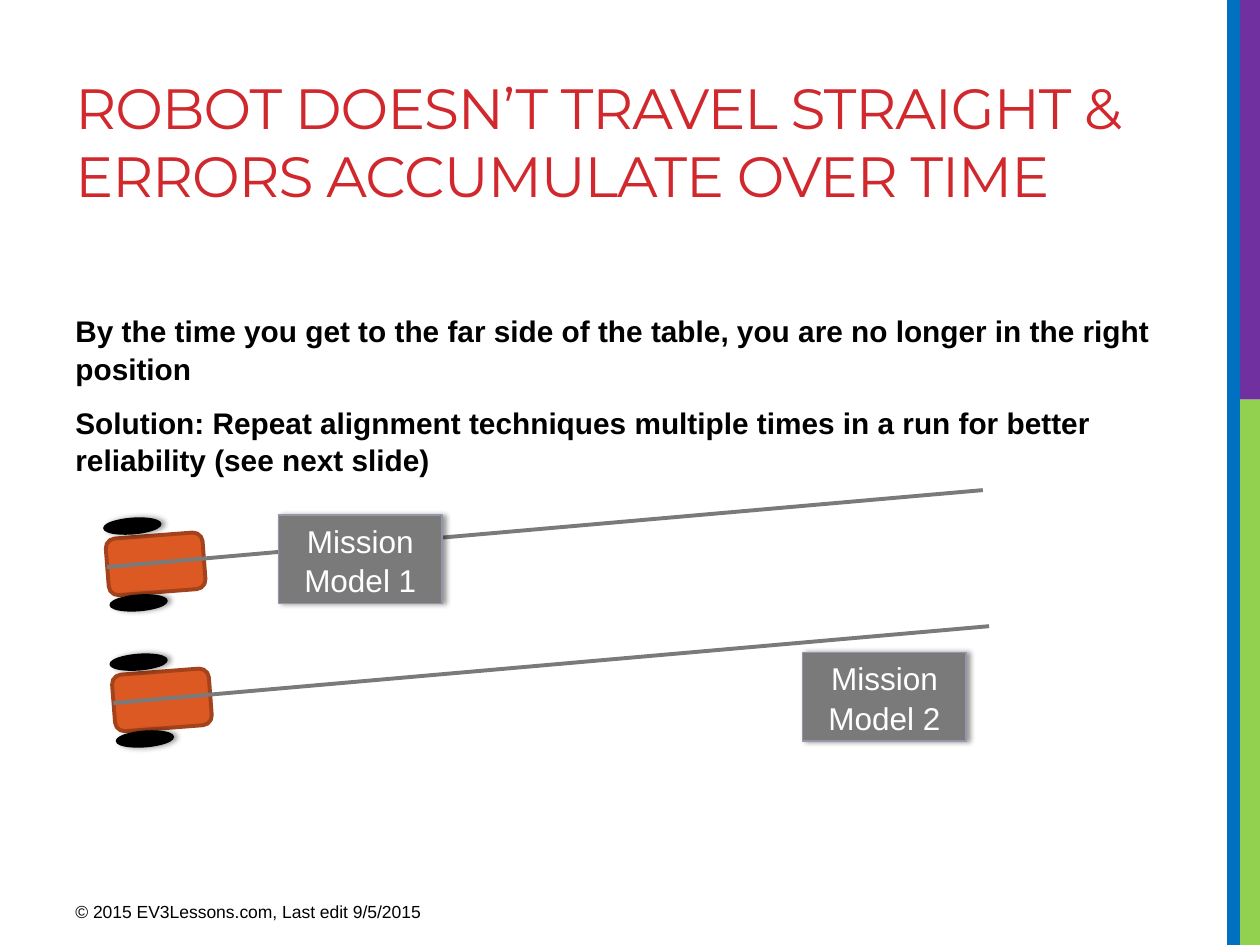
from pptx import Presentation
from pptx.dml.color import RGBColor
from pptx.enum.shapes import MSO_CONNECTOR, MSO_SHAPE as Geo
from pptx.enum.text import MSO_ANCHOR, PP_ALIGN
from pptx.oxml import parse_xml
from pptx.oxml.ns import nsdecls
from pptx.util import Inches, Pt

COLORS = {
    "green": "92D050", "purple": "7030A0", "blue": "0070C0",
    "red": "D1282E", "black": "000000", "white": "FFFFFF",
    "orange": "DC5924", "rust": "A3421B", "gray": "7A7A7A", "edge": "9496A9",
}
BARS = [
    ("green", (9.84, 3.17, 0.16, 4.33)),
    ("purple", (9.8, 0, 0.2, 3.17)),
    ("blue", (9.74, 0, 0.1, 7.5)),
]
TITLE = "ROBOT DOESN’T TRAVEL STRAIGHT & ERRORS ACCUMULATE OVER TIME"
BODY = [
    "By the time you get to the far side of the table, you are no longer in the right position",
    "Solution: Repeat alignment techniques multiple times in a run for better reliability (see next slide)",
]
FOOTER = "© 2015 EV3Lessons.com, Last edit 9/5/2015"
# start of the robot's path, label, left and top of its mission model
RUNS = [
    ((0.85, 4.5), "Mission Model 1", (2.21, 4.09)),
    ((0.9, 5.58), "Mission Model 2", (6.37, 5.18)),
]
REACH = (6.95, -0.61)
MODEL = (1.3, 0.7)
TILT = 85.6
# robot parts, placed from the start of the path
CHASSIS = (0.16, -0.41, 0.45, 0.77)
WHEELS = [(0.14, -0.55, 0.12, 0.45), (0.19, 0.06, 0.12, 0.45)]


def rgb(name):
    return RGBColor.from_string(COLORS[name])


def add_shape(shapes, geo, box, fill, line=None, width=1, shadow=False):
    shape = shapes.add_shape(geo, *map(Inches, box))
    shape.shadow.inherit = False
    shape.fill.solid()
    shape.fill.fore_color.rgb = rgb(fill)
    if line:
        shape.line.color.rgb = rgb(line)
        shape.line.width = Pt(width)
    else:
        shape.line.fill.background()
    if shadow:
        effects = shape._element.spPr.find(
            "{http://schemas.openxmlformats.org/drawingml/2006/main}effectLst")
        effects.append(parse_xml(
            f'<a:outerShdw {nsdecls("a")} blurRad="{Pt(3.1)}" dist="{Pt(1.8)}" dir="0">'
            f'<a:srgbClr val="{COLORS["black"]}"><a:alpha val="40000"/></a:srgbClr>'
            '</a:outerShdw>'))
    return shape


def write(frame, lines, size, color, face="Arial", bold=False, spacing=1.0):
    """Fill a text frame with one paragraph per line and return the paragraphs."""
    frame.word_wrap = True
    frame.text = "\n".join(lines)
    for para in frame.paragraphs:
        para.line_spacing = spacing
        font = para.font
        font.name, font.size, font.bold = face, Pt(size), bold
        font.color.rgb = rgb(color)
    return frame.paragraphs


def add_text(box, *args, **style):
    return write(slide.shapes.add_textbox(*map(Inches, box)).text_frame, *args, **style)


def add_robot(x, y):
    group = slide.shapes.add_group_shape().shapes

    def part(geo, box, *look, **more):
        left, top, wide, high = box
        shape = add_shape(group, geo, (x + left, y + top, wide, high), *look, **more)
        shape.rotation = TILT

    part(Geo.ROUNDED_RECTANGLE, CHASSIS, "orange", "rust", 2.25)
    for wheel in WHEELS:
        part(Geo.OVAL, wheel, "black", "black", shadow=True)


def add_track(x, y):
    ends = (x, y, x + REACH[0], y + REACH[1])
    track = slide.shapes.add_connector(MSO_CONNECTOR.STRAIGHT, *map(Inches, ends))
    track.line.color.rgb = rgb("gray")
    track.line.width = Pt(2.25)
    track._element.spPr.append(parse_xml(f'<a:effectLst {nsdecls("a")}/>'))


def add_model(label, spot):
    model = add_shape(slide.shapes, Geo.RECTANGLE, spot + MODEL, "gray", "edge", shadow=True)
    model.text_frame.vertical_anchor = MSO_ANCHOR.MIDDLE
    para, = write(model.text_frame, [label], 18, "white", spacing=1.05)
    para.alignment = PP_ALIGN.CENTER


deck = Presentation()
deck.slide_width, deck.slide_height = Inches(10), Inches(7.5)
slide = deck.slides.add_slide(deck.slide_layouts[6])

for color, box in BARS:
    add_shape(slide.shapes, Geo.RECTANGLE, box, color)

title, = add_text((0.5, 0.53, 9.19, 1.09), [TITLE], 32.4, "red", face="Montserrat")
title.runs[0].font._element.set("spc", "-60")

body = add_text((0.5, 2.42, 9.19, 1.29), BODY, 17, "black", bold=True, spacing=1.05)
for para in body:
    para.space_after = Pt(6)
for para in body[1:]:
    para.space_before = Pt(3.4)

add_text((0.5, 7.1, 3.75, 0.31), [FOOTER], 10, "black")

for start, label, spot in RUNS:
    add_robot(*start)
    add_track(*start)
    add_model(label, spot)

deck.save("out.pptx")
